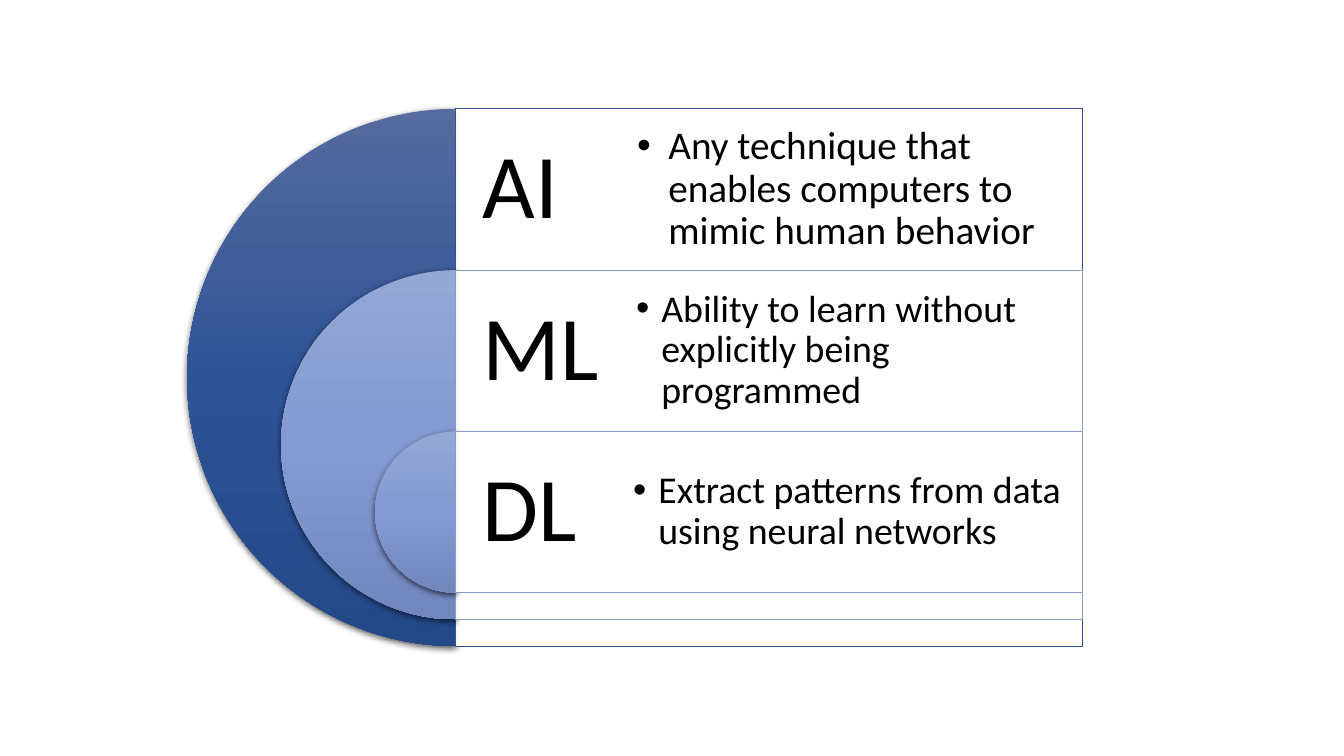
"""Build a slide of nested half circles that explains AI, ML and DL."""
from copy import deepcopy
from dataclasses import dataclass

from lxml import etree
from pptx import Presentation
from pptx.dml.color import RGBColor
from pptx.enum.shapes import MSO_SHAPE
from pptx.enum.text import MSO_ANCHOR
from pptx.oxml.ns import qn
from pptx.util import Inches, Pt

PIE = MSO_SHAPE.PIE
RECTANGLE = MSO_SHAPE.RECTANGLE
MIDDLE = MSO_ANCHOR.MIDDLE

FONT = "Calibri"
BLACK = "000000"
WHITE = "FFFFFF"
DARK_GRADIENT = ("566B9E", "2E5396", "244989")
LIGHT_GRADIENT = ("95A7D4", "849AD2", "7187BE")
CENTER_X = 4.52
TOP = 1.08
ROW_HEIGHT = 1.6
OUTER_DIAMETER = 5.33
DIAMETER_STEP = 1.865
PANEL_WIDTH = 6.22
LABEL_WIDTH = 3.11


@dataclass(frozen=True)
class Layer:
    """One field with its half circle, panel and description."""

    label: str
    description: str
    gradient: tuple[str, str, str]
    line: str
    text_left: float
    text_width: float
    text_size: int
    inset: float
    indent: float


LAYERS = (
    Layer("AI", "Any technique that enables computers to mimic human behavior",
          DARK_GRADIENT, "325491", 6.2, 4.53, 28, 0.12, 0.31),
    Layer("ML", "Ability to learn without explicitly being programmed",
          LIGHT_GRADIENT, "879BCE", 6.2, 4.56, 27, 0.11, 0.25),
    Layer("DL", "Extract patterns from data using neural networks",
          LIGHT_GRADIENT, "879BCE", 6.17, 4.57, 27, 0.11, 0.25),
)


def color(value: str) -> RGBColor:
    """Turn a hex string into a colour."""
    return RGBColor.from_string(value)


def add_shape(slide, kind, left: float, top: float, width: float, height: float):
    """Add a preset shape without a theme shadow."""
    shape = slide.shapes.add_shape(
        kind, Inches(left), Inches(top), Inches(width), Inches(height))
    shape.shadow.inherit = False
    return shape


def fill_gradient(shape, colors: tuple[str, str, str]) -> None:
    """Fill a shape from top to bottom with three colours."""
    shape.fill.gradient()
    shape.fill.gradient_angle = 270
    first_stop = shape._element.spPr.find(".//" + qn("a:gs"))
    first_stop.addnext(deepcopy(first_stop))
    for stop, position, value in zip(shape.fill.gradient_stops, (0, 0.5, 1), colors):
        stop.position = position
        stop.color.rgb = color(value)


def add_shadow(shape) -> None:
    """Cast a soft black shadow downwards."""
    effects = shape._element.spPr.find(qn("a:effectLst"))
    shadow = etree.SubElement(
        effects, qn("a:outerShdw"), blurRad=str(Pt(4.5)), dist=str(Pt(1.5)),
        dir="5400000", algn="ctr", rotWithShape="0")
    shade = etree.SubElement(shadow, qn("a:srgbClr"), val=BLACK)
    etree.SubElement(shade, qn("a:alpha"), val="63000")


def add_half_circle(slide, layer: Layer, top: float, diameter: float) -> None:
    """Add the left half of a circle."""
    pie = add_shape(slide, PIE, CENTER_X - diameter / 2, top, diameter, diameter)
    pie.adjustments[0] = 54
    pie.adjustments[1] = 162
    pie.line.fill.background()
    fill_gradient(pie, layer.gradient)
    add_shadow(pie)


def add_panel(slide, layer: Layer, top: float, height: float) -> None:
    """Add the outlined, nearly opaque panel beside a half circle."""
    panel = add_shape(slide, RECTANGLE, CENTER_X, top, PANEL_WIDTH, height)
    panel.fill.solid()
    panel.fill.fore_color.rgb = color(WHITE)
    shade = panel._element.spPr.find(qn("a:solidFill")).find(qn("a:srgbClr"))
    etree.SubElement(shade, qn("a:alpha"), val="90000")
    panel.line.color.rgb = color(layer.line)
    panel.line.width = Pt(0.5)


def add_text(slide, text: str, left: float, top: float, width: float,
             size: int, inset: float):
    """Add a one-paragraph text box and return its paragraph."""
    box = slide.shapes.add_textbox(
        Inches(left), Inches(top), Inches(width), Inches(ROW_HEIGHT))
    frame = box.text_frame
    frame.word_wrap = True
    frame.vertical_anchor = MIDDLE
    frame.margin_left = frame.margin_right = Inches(inset)
    frame.margin_top = frame.margin_bottom = Inches(inset)
    paragraph = frame.paragraphs[0]
    paragraph.line_spacing = 0.9
    run = paragraph.add_run()
    run.text = text
    run.font.name = FONT
    run.font.size = Pt(size)
    run.font.color.rgb = color(BLACK)
    return paragraph


def add_bullet(paragraph, indent: float) -> None:
    """Give a paragraph a hanging round bullet."""
    paragraph.level = 1
    properties = paragraph._p.get_or_add_pPr()
    properties.set("marL", str(Inches(indent)))
    properties.set("indent", str(-Inches(indent)))
    etree.SubElement(properties, qn("a:buFont"), typeface="Arial")
    etree.SubElement(properties, qn("a:buChar"), char="•")


def main() -> None:
    """Build and save the presentation."""
    presentation = Presentation()
    presentation.slide_width = Inches(13.33)
    presentation.slide_height = Inches(7.5)
    slide = presentation.slides.add_slide(presentation.slide_layouts[6])
    for index, layer in enumerate(LAYERS):
        top = TOP + index * ROW_HEIGHT
        diameter = OUTER_DIAMETER - index * DIAMETER_STEP
        add_half_circle(slide, layer, top, diameter)
        add_panel(slide, layer, top, diameter)
        add_text(slide, layer.label, CENTER_X, top, LABEL_WIDTH, 65, 0.27)
        description = add_text(slide, layer.description, layer.text_left, top,
                               layer.text_width, layer.text_size, layer.inset)
        add_bullet(description, layer.indent)
    presentation.save("out.pptx")


main()
